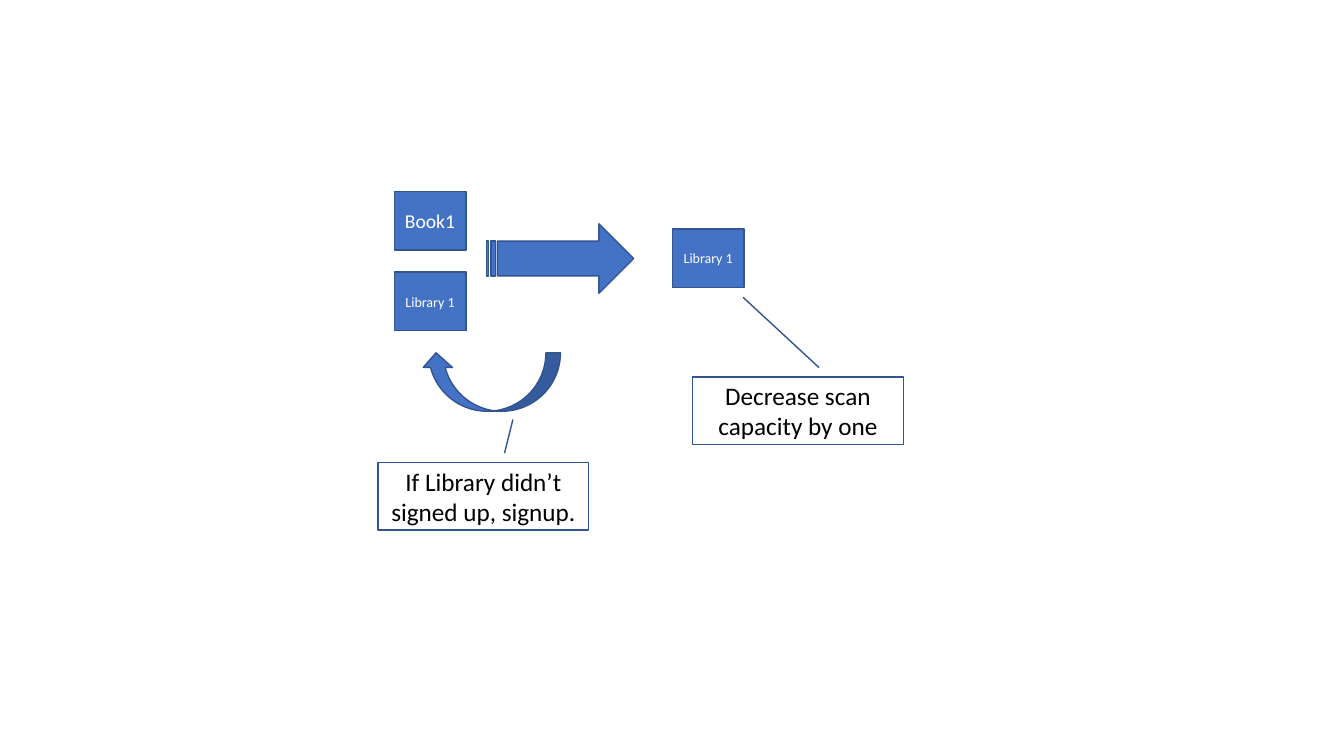
from pptx import Presentation
from pptx.dml.color import RGBColor
from pptx.enum.shapes import MSO_SHAPE
from pptx.enum.text import MSO_ANCHOR, PP_ALIGN
from pptx.util import Inches, Pt

INK = {"blue": "4472C4", "edge": "325491", "white": "FFFFFF", "black": "000000"}

deck = Presentation()
deck.slide_width, deck.slide_height = Inches(13.33), Inches(7.5)
slide = deck.slides.add_slide(deck.slide_layouts[6])
col, row = deck.slide_width / 100, deck.slide_height / 100  # 100 x 100 grid


def color(name):
    return RGBColor.from_string(INK[name])


def draw(kind, spot, size, fill=None, text="", points=18, ink="white"):
    """Add an outlined shape, placed and sized in grid columns and rows."""
    (x, y), (w, h) = spot, size
    shape = slide.shapes.add_shape(
        kind, round(x * col), round(y * row), round(w * col), round(h * row))
    shape.shadow.inherit = False
    if fill:
        shape.fill.solid()
        shape.fill.fore_color.rgb = color(fill)
    else:
        shape.fill.background()
    shape.line.color.rgb = color("edge")
    shape.line.width = Pt(1)
    if text:
        frame = shape.text_frame
        frame.word_wrap = True
        frame.vertical_anchor = MSO_ANCHOR.MIDDLE
        para = frame.paragraphs[0]
        para.alignment = PP_ALIGN.CENTER
        run = para.add_run()
        run.text = text
        run.font.name = "Calibri"
        run.font.size = Pt(points)
        run.font.color.rgb = color(ink)
    return shape


# Books and libraries
box = (5.33, 7.73)
for spot, text, points in [
    ((29.33, 36), "Library 1", 10),
    ((29.33, 25.33), "Book1", 14),
    ((50.03, 30.27), "Library 1", 10),
]:
    draw(MSO_SHAPE.RECTANGLE, spot, box, "blue", text, points)

# Arrows
draw(MSO_SHAPE.STRIPED_RIGHT_ARROW, (36.2, 29.6), (10.95, 9.2), "blue")
loop = draw(MSO_SHAPE.CURVED_DOWN_ARROW, (31.35, 46.67), (10.35, 7.73), "blue")
loop.rotation = 180

# Callouts: the pointer ends at a share of the box height and width
for spot, text, tip in [
    ((28.13, 61.2), "If Library didn’t signed up, signup.", (-0.64, 0.64)),
    ((51.53, 49.87), "Decrease scan capacity by one", (-1.18, 0.24)),
]:
    note = draw(MSO_SHAPE.LINE_CALLOUT_1, spot, (15.68, 8.93), None, text, 18, "black")
    for i, share in enumerate((-0.14, 0.6, *tip)):
        note.adjustments[i] = share

deck.save("out.pptx")
